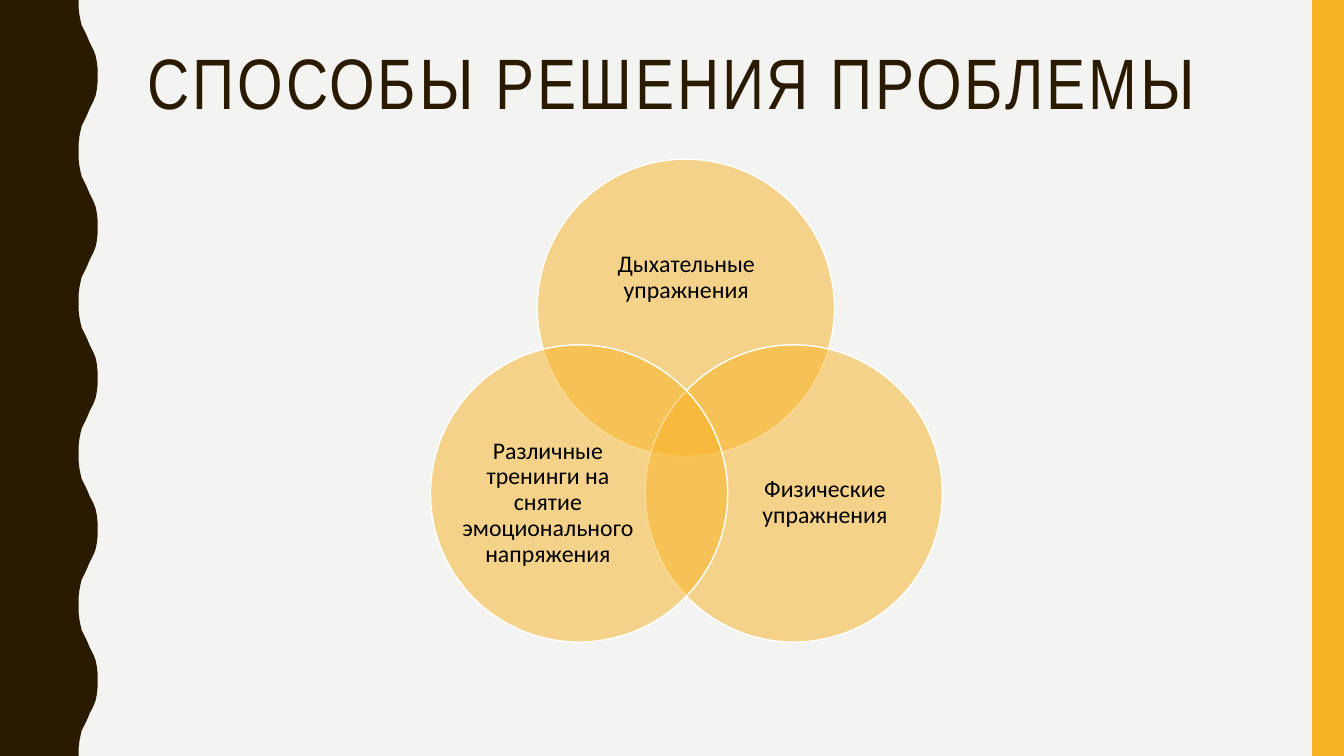
"""Build a slide with a three-circle Venn diagram of ways to solve the problem."""
import pptx
import pptx.dml.color
import pptx.enum.shapes
import pptx.enum.text
import pptx.oxml
import pptx.oxml.ns
import pptx.util

Cm = pptx.util.Cm
Pt = pptx.util.Pt
ALIGN = pptx.enum.text.PP_ALIGN
ANCHOR = pptx.enum.text.MSO_ANCHOR
SHAPE = pptx.enum.shapes.MSO_SHAPE

COLORS = {
    "background": "F3F3F2",
    "brown": "2A1A00",
    "amber": "F8B323",
    "white": "FFFFFF",
    "black": "000000",
}
WIDTH, HEIGHT = 33.87, 19.05
HALF_WAVES = 10
HALF_WAVE_HEIGHT = HEIGHT / HALF_WAVES
HALF_WAVE = [
    (1.98, 0), (1.98, 0.18), (2, 0.36), (2.03, 0.51), (2.06, 0.64),
    (2.11, 0.74), (2.16, 0.84), (2.21, 0.95), (2.26, 1.07), (2.31, 1.17),
    (2.36, 1.27), (2.41, 1.4), (2.44, 1.55), (2.46, 1.73), (2.46, HALF_WAVE_HEIGHT),
]
CIRCLE_SIZE = 7.49
TITLE = "СПОСОБЫ РЕШЕНИЯ ПРОБЛЕМЫ"
TITLE_FONT = {"name": "Arial Narrow", "size": Pt(51)}
LABEL_FONT = {"name": "Calibri", "size": Pt(17)}
LABEL_FRAME = {
    "vertical_anchor": ANCHOR.MIDDLE,
    "margin_left": 0, "margin_top": 0, "margin_right": 0, "margin_bottom": 0,
}
VENN = [
    ("Дыхательные упражнения", (13.54, 4.01), (14.55, 5.31, 5.49, 3.38)),
    ("Физические упражнения", (16.26, 8.69), (18.54, 10.62, 4.5, 4.11)),
    ("Различные тренинги на снятие эмоционального напряжения",
     (10.85, 8.69), (11.56, 10.62, 4.5, 4.11)),
]


def rgb(name):
    """Return the named colour."""
    return pptx.dml.color.RGBColor.from_string(COLORS[name])


def apply_format(target, values):
    """Set each attribute in values on the target."""
    for name, value in values.items():
        setattr(target, name, value)


def paint(shape, color):
    """Give a shape a plain fill without line or shadow."""
    shape.shadow.inherit = False
    shape.fill.solid()
    shape.fill.fore_color.rgb = rgb(color)
    shape.line.fill.background()


def add_wave(slide):
    """Draw the wavy band along the left edge."""
    points = []
    for index in range(HALF_WAVES):
        for x, y in HALF_WAVE if index % 2 == 0 else reversed(HALF_WAVE):
            offset = y if index % 2 == 0 else HALF_WAVE_HEIGHT - y
            points.append((Cm(x), Cm(index * HALF_WAVE_HEIGHT + offset)))
    points.append((0, Cm(HEIGHT)))
    builder = slide.shapes.build_freeform(0, 0)
    builder.add_line_segments(points, close=True)
    paint(builder.convert_to_shape(), "brown")


def add_shape(slide, kind, box, color):
    """Add a filled preset shape in a box given in centimetres."""
    shape = slide.shapes.add_shape(kind, *map(Cm, box))
    paint(shape, color)
    return shape


def add_circle(slide, position):
    """Add a half-transparent circle with a white outline."""
    box = (*position, CIRCLE_SIZE, CIRCLE_SIZE)
    circle = add_shape(slide, SHAPE.OVAL, box, "amber")
    circle.line.color.rgb = rgb("white")
    circle.line.width = Pt(1)
    fill_color = circle.fill._xPr.find(".//" + pptx.oxml.ns.qn("a:srgbClr"))
    alpha = pptx.oxml.parse_xml(
        f'<a:alpha {pptx.oxml.ns.nsdecls("a")} val="50000"/>')
    fill_color.append(alpha)


def add_text(slide, text, box, font, color, frame_format, align):
    """Add a wrapped one-paragraph text box and return its run."""
    frame = slide.shapes.add_textbox(*map(Cm, box)).text_frame
    apply_format(frame, {"word_wrap": True, **frame_format})
    paragraph = frame.paragraphs[0]
    apply_format(paragraph, {"alignment": align, "line_spacing": 0.9})
    run = paragraph.add_run()
    run.text = text
    apply_format(run.font, font)
    run.font.color.rgb = rgb(color)
    return run


def main():
    """Build and save the slide."""
    presentation = pptx.Presentation()
    presentation.slide_width = Cm(WIDTH)
    presentation.slide_height = Cm(HEIGHT)
    slide = presentation.slides.add_slide(presentation.slide_layouts[6])
    slide.background.fill.solid()
    slide.background.fill.fore_color.rgb = rgb("background")

    add_wave(slide)
    add_shape(slide, SHAPE.RECTANGLE, (33.07, 0, 0.8, HEIGHT), "amber")
    title = add_text(slide, TITLE, (3.48, 1.07, 28.27, 4.14), TITLE_FONT,
                     "brown", {"vertical_anchor": ANCHOR.TOP}, ALIGN.LEFT)
    title.font._element.set("spc", "200")
    for label, position, label_box in VENN:
        add_circle(slide, position)
        add_text(slide, label, label_box, LABEL_FONT, "black",
                 LABEL_FRAME, ALIGN.CENTER)
    presentation.save("out.pptx")


if __name__ == "__main__":
    main()
